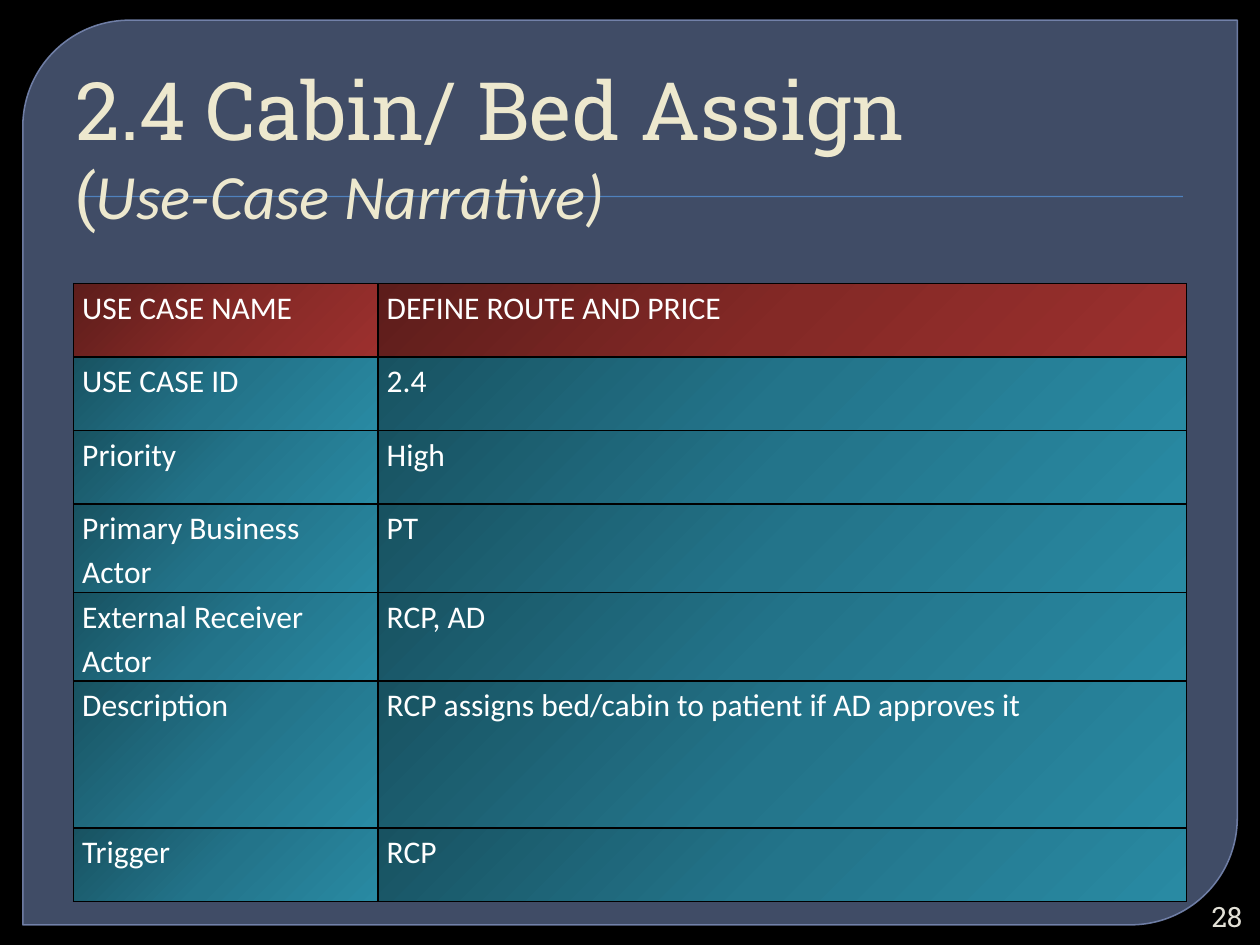
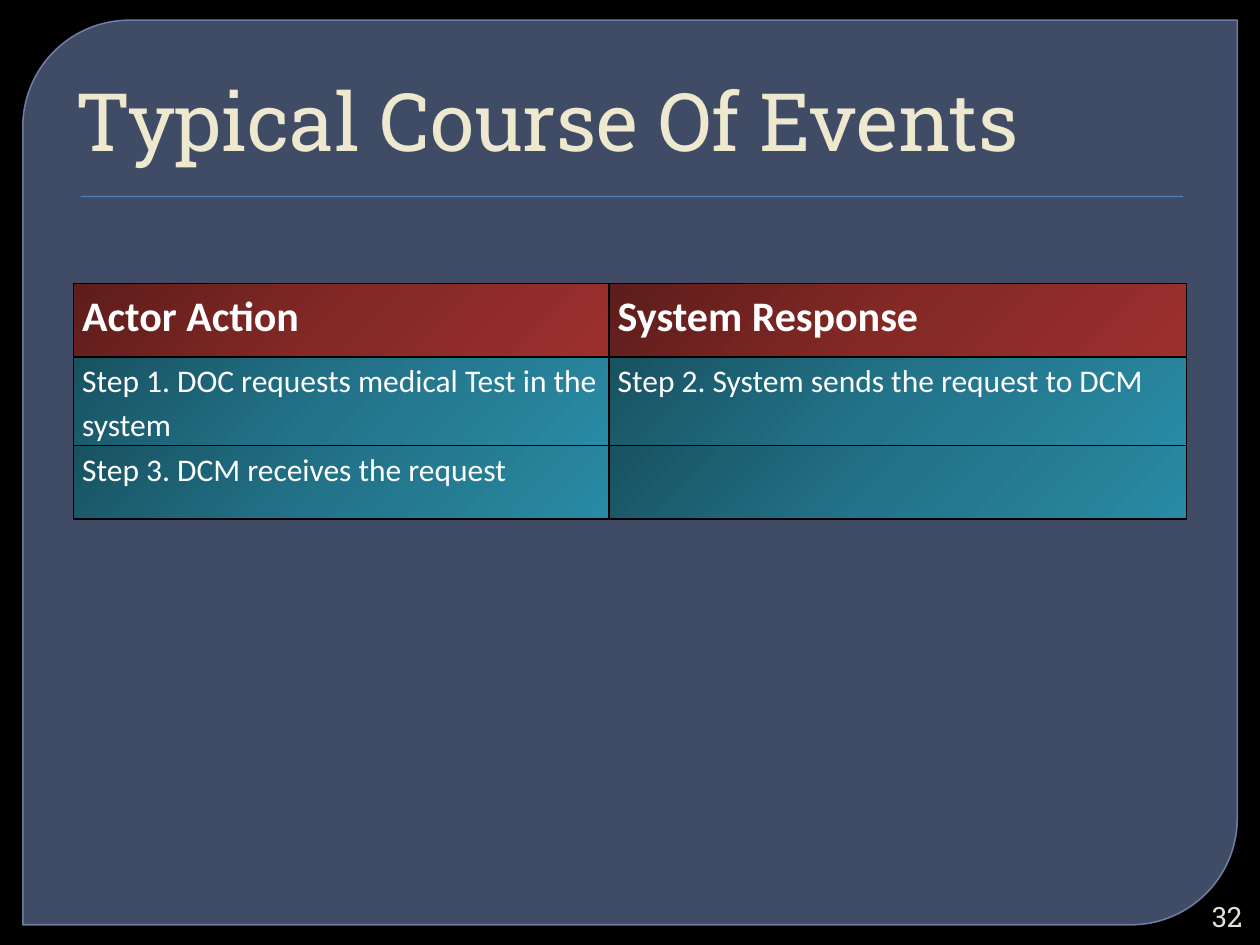
from dataclasses import dataclass

from lxml import etree
from pptx import Presentation
from pptx import util as u
from pptx.dml.color import RGBColor
from pptx.enum import shapes, text
from pptx.oxml import ns

Pt = u.Pt


@dataclass(frozen=True)
class Theme:
    # Colours
    back: str = "000000"
    panel: str = "63759D"
    panel_line: str = "7989B3"
    rule: str = "4F81BD"
    title: str = "EDE8CE"
    number: str = "E3E1D7"
    cell_text: str = "FFFFFF"
    border: str = "000000"
    head_fill: tuple = ("5D1D1B", "842926", "9C302E")
    body_fill: tuple = ("185261", "23748A", "298AA3")
    # Fonts and type sizes
    slab: str = "Roboto Slab"
    sans: str = "Calibri"
    title_size: int = 46
    subtitle_size: int = 36
    head_size: int = 24
    body_size: int = 18
    number_size: int = 16


def set_attrs(obj, values):
    for name, value in values.items():
        setattr(obj, name, value)


def add_xml(parent, tag, **attrs):
    return etree.SubElement(parent, ns.qn(tag), attrs)


def set_alpha(fill_owner, percent):
    clr = fill_owner.find(".//" + ns.qn("a:srgbClr"))
    add_xml(clr, "a:alpha", val=str(percent * 1000))


class Deck:
    def __init__(self, theme):
        self.th = theme
        self.prs = Presentation()
        set_attrs(self.prs, {"slide_width": Pt(720), "slide_height": Pt(540)})
        self.s = None

    def font(self, r, name, size, color, **more):
        set_attrs(r.font, {"name": name, "size": Pt(size), **more})
        r.font.color.rgb = RGBColor.from_string(color)

    def block(self, kind, x, y, w, h, color):
        sp = self.s.shapes.add_shape(kind, Pt(x), Pt(y), Pt(w), Pt(h))
        sp.shadow.inherit = False
        sp.fill.solid()
        sp.fill.fore_color.rgb = RGBColor.from_string(color)
        sp.line.fill.background()
        return sp

    def new_slide(self, number):
        """Start a slide with the shared panel, rule and page number."""
        th = self.th
        self.s = self.prs.slides.add_slide(self.prs.slide_layouts[5])
        fill = self.s.background.fill
        fill.solid()
        fill.fore_color.rgb = RGBColor.from_string(th.back)

        # Panel with two rounded corners
        kind = shapes.MSO_SHAPE.ROUND_2_DIAG_RECTANGLE
        sp = self.block(kind, 13, 11.5, 694, 517, th.panel)
        sp.adjustments[0], sp.adjustments[1] = 0.118, 0
        set_alpha(sp.fill._xPr, 65)
        sp.line.color.rgb = RGBColor.from_string(th.panel_line)
        sp.line.width = Pt(0.87)
        set_alpha(sp.line._ln, 88)

        # Rule under the title
        self.block(shapes.MSO_SHAPE.RECTANGLE, 46, 112, 630, 0.75, th.rule)

        # Page number
        sp = self.s.shapes.add_textbox(Pt(680.5), Pt(512.5), Pt(36.5), Pt(22))
        set_attrs(sp.text_frame, {"word_wrap": True,
                                  "vertical_anchor": text.MSO_ANCHOR.MIDDLE})
        p = sp.text_frame.paragraphs[0]
        p.alignment = text.PP_ALIGN.RIGHT
        r = p.add_run()
        r.text = str(number)
        self.font(r, th.slab, th.number_size, th.number)

    def title(self, y, h, words, subtitle=()):
        """Format the title; subtitle is a list of (words, font, italic)."""
        th = self.th
        sp = self.s.shapes.title
        set_attrs(sp, {"left": Pt(36), "top": Pt(y),
                       "width": Pt(648), "height": Pt(h)})
        tf = sp.text_frame
        set_attrs(tf, {"word_wrap": True, "auto_size": text.MSO_AUTO_SIZE.NONE,
                       "vertical_anchor": text.MSO_ANCHOR.BOTTOM,
                       "margin_top": 0, "margin_bottom": 0})
        p = tf.paragraphs[0]
        p.alignment = text.PP_ALIGN.LEFT
        set_attrs(p._p.get_or_add_pPr(), {"marL": Pt(4), "indent": 0})
        r = p.add_run()
        r.text = words
        self.font(r, th.slab, th.title_size, th.title)
        if subtitle:
            p.add_line_break()
        for part, name, italic in subtitle:
            r = p.add_run()
            r.text = part
            self.font(r, name, th.subtitle_size, th.title, italic=italic)
        # Bring the title in front of the panel
        self.s.shapes._spTree.append(sp._element)

    def cell(self, cell, words, stops, size, bold):
        th = self.th
        set_attrs(cell, {"margin_left": Pt(5), "margin_right": Pt(5),
                         "margin_top": 0, "margin_bottom": 0})
        p = cell.text_frame.paragraphs[0]
        p.line_spacing = 1.15
        if words:
            r = p.add_run()
            r.text = words
            self.font(r, th.sans, size, th.cell_text, bold=bold)
        else:
            p.font.size = Pt(size)

        # Borders come before the fill
        tc_pr = cell._tc.get_or_add_tcPr()
        for side in ("L", "R", "T", "B"):
            ln = add_xml(tc_pr, "a:ln" + side, w=str(Pt(1)))
            add_xml(add_xml(ln, "a:solidFill"), "a:srgbClr", val=th.border)
        grad = add_xml(tc_pr, "a:gradFill", rotWithShape="1")
        stop_list = add_xml(grad, "a:gsLst")
        for i, color in enumerate(stops):
            gs = add_xml(stop_list, "a:gs", pos=str(i * 50000))
            add_xml(gs, "a:srgbClr", val=color)
        add_xml(grad, "a:lin", ang=str(45 * 60000), scaled="0")

    def table(self, cols, rows, tall=(), head_size=None, head_bold=False):
        """Draw a table; rows whose index is in tall are twice as high."""
        th = self.th
        heights = [84 if i in tall else 42 for i in range(len(rows))]
        frame = self.s.shapes.add_table(len(rows), len(cols), Pt(42), Pt(162),
                                        Pt(sum(cols)), Pt(sum(heights)))
        tbl = frame.table
        set_attrs(tbl, {"first_row": False, "horz_banding": False})
        for col, w in zip(tbl.columns, cols):
            col.width = Pt(w)
        for i, (row, h) in enumerate(zip(tbl.rows, heights)):
            row.height = Pt(h)
            if i == 0:
                look = (th.head_fill, head_size or th.body_size, head_bold)
            else:
                look = (th.body_fill, th.body_size, False)
            for cell, words in zip(row.cells, rows[i]):
                self.cell(cell, words, *look)


def main():
    th = Theme()
    d = Deck(th)

    # Use-case narrative
    d.new_slide(28)
    d.title(20, 112.5, "2.4 Cabin/ Bed Assign",
            [("(", th.slab, False), ("Use-Case Narrative)", th.sans, True)])
    d.table((174, 462), [
        ("USE CASE NAME", "DEFINE ROUTE AND PRICE"),
        ("USE CASE ID", "2.4"),
        ("Priority", "High"),
        ("Primary Business Actor", "PT"),
        ("External Receiver Actor", "RCP, AD"),
        ("Description", "RCP assigns bed/cabin to patient if AD approves it"),
        ("Trigger", "RCP"),
    ], tall=(5,))

    # Course of events
    d.new_slide(32)
    d.title(18, 78, "Typical Course Of Events")
    d.table((306, 330), [
        ("Actor Action", "System Response"),
        ("Step 1. DOC requests medical Test in the system",
         "Step 2. System sends the request to DCM"),
        ("Step 3. DCM receives the request", ""),
    ], head_size=th.head_size, head_bold=True)

    d.prs.save("out.pptx")


if __name__ == "__main__":
    main()
